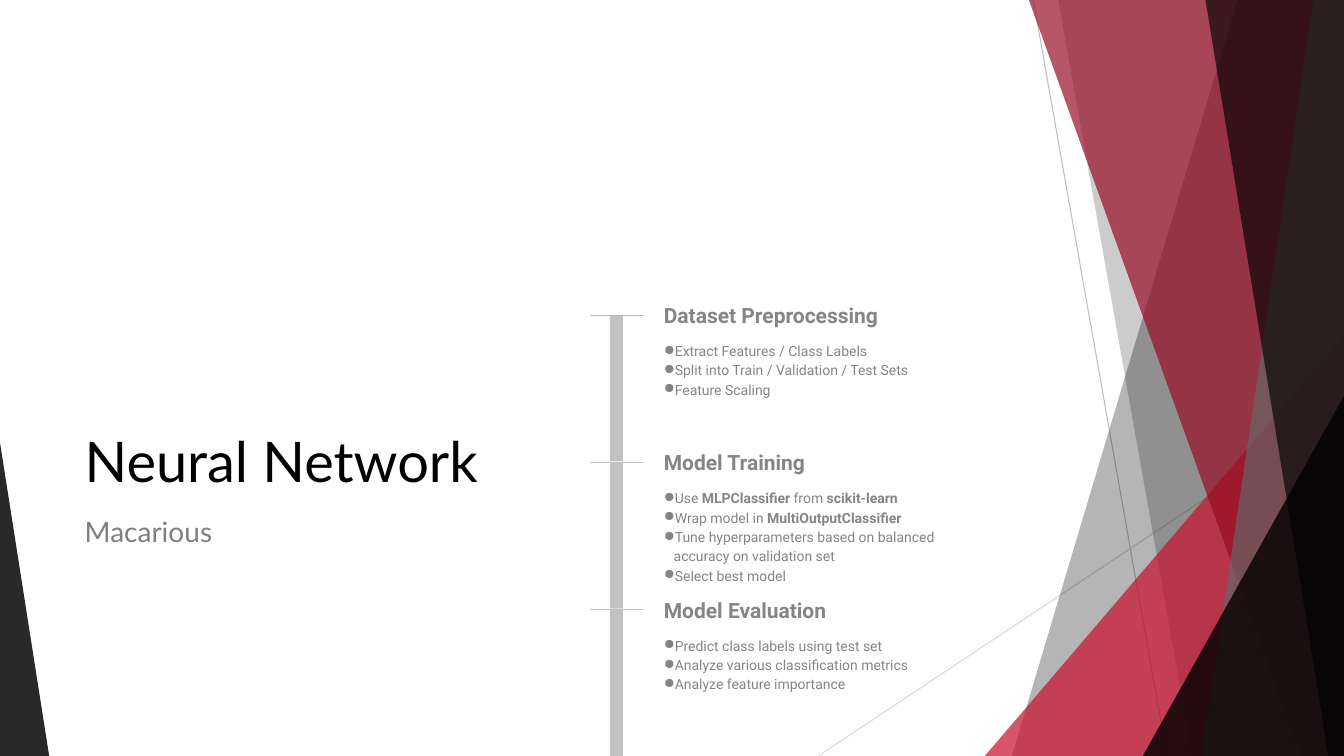
import pptx
import pptx.util
import pptx.dml.color
import pptx.enum.shapes
import pptx.enum.text
import pptx.oxml
import pptx.oxml.ns

Cm = pptx.util.Cm
Pt = pptx.util.Pt
RGBColor = pptx.dml.color.RGBColor
MSO_SHAPE = pptx.enum.shapes.MSO_SHAPE
qn = pptx.oxml.ns.qn

BLACK = RGBColor(0x00, 0x00, 0x00)
RED = RGBColor(0xC8, 0x10, 0x2E)
DARK_RED = RGBColor(0x96, 0x0B, 0x22)
DARK_GREY = RGBColor(0x66, 0x66, 0x66)
SUBTITLE_GREY = RGBColor(0x7F, 0x7F, 0x7F)
TEXT_GREY = RGBColor(0x85, 0x85, 0x85)
TICK_GREY = RGBColor(0xBA, 0xBA, 0xBA)
BAR_GREY = RGBColor(0xC2, 0xC2, 0xC2)
LINE_GREY = RGBColor(0xBF, 0xBF, 0xBF)
PALE_GREY = RGBColor(0xD8, 0xD8, 0xD8)

WIDTH, HEIGHT = 33.87, 19.05

prs = pptx.Presentation()
prs.slide_width, prs.slide_height = Cm(WIDTH), Cm(HEIGHT)
slide = prs.slides.add_slide(prs.slide_layouts[2])
shapes = slide.shapes


def add_line(x1, y1, x2, y2, color):
    line = shapes.add_connector(pptx.enum.shapes.MSO_CONNECTOR.STRAIGHT,
                                Cm(x1), Cm(y1), Cm(x2), Cm(y2))
    line.line.color.rgb = color
    line.line.width = Pt(0.75)
    pptx.oxml.ns  # namespace helpers come from here
    line._element.spPr.append(pptx.oxml.parse_xml(
        f'<a:effectLst {pptx.oxml.ns.nsdecls("a")}/>'))


def add_text(left, top, width, height, paragraphs, size):
    """Add a text box; each paragraph is a list of (text, bold) runs."""
    box = shapes.add_textbox(Cm(left), Cm(top), Cm(width), Cm(height))
    tf = box.text_frame
    tf.word_wrap = True
    tf.margin_left = tf.margin_right = tf.margin_top = tf.margin_bottom = Cm(0.32)
    for i, runs in enumerate(paragraphs):
        p = tf.paragraphs[0] if i == 0 else tf.add_paragraph()
        p.line_spacing = 1.15
        for text, bold in runs:
            r = p.add_run()
            r.text = text
            r.font.name = "Roboto"
            r.font.size = Pt(size)
            r.font.bold = bold
            r.font.color.rgb = TEXT_GREY
    return tf


# Background lines and translucent bands
add_line(26.04, 0, 29.41, HEIGHT, LINE_GREY)
add_line(WIDTH, 10.24, 20.62, HEIGHT, PALE_GREY)

# band: top x, bottom x; wedge: left, width, height, apex position
decor = [
    ("band", (31.19, 25.5), BLACK, 29),
    ("band", (26.67, 30.05), BLACK, 20),
    ("wedge", (24.82, 9.05, 10.59, 1), RED, 71),
    ("band", (25.93, 32.79), DARK_RED, 69),
    ("band", (33.1, 30.28), DARK_GREY, 69),
    ("band", (30.38, 33.48), BLACK, 64),
    ("wedge", (28.8, 5.07, 9.07, 1), BLACK, 80),
    ("wedge", (0, 1.24, 7.9, 0), BLACK, 84),
]
for kind, geometry, color, opacity in decor:
    if kind == "band":
        top_x, bottom_x = geometry
        outline = shapes.build_freeform(Cm(top_x), 0)
        outline.add_line_segments([(Cm(WIDTH), 0), (Cm(WIDTH), Cm(HEIGHT)),
                                   (Cm(bottom_x), Cm(HEIGHT))])
        sp = outline.convert_to_shape()
    else:
        left, width, height, apex = geometry
        sp = shapes.add_shape(MSO_SHAPE.ISOSCELES_TRIANGLE, Cm(left),
                              Cm(HEIGHT - height), Cm(width), Cm(height))
        sp.adjustments[0] = apex
    sp.shadow.inherit = False
    sp.line.fill.background()
    sp.fill.solid()
    sp.fill.fore_color.rgb = color
    clr = sp._element.spPr.find(qn("a:solidFill"))[0]
    clr.append(pptx.oxml.parse_xml(
        f'<a:alpha {pptx.oxml.ns.nsdecls("a")} val="{opacity * 1000}"/>'))

# Title and subtitle, in front of the bands
title, subtitle = slide.placeholders
for sp, text, top, height, size, color, anchor in [
    (title, "Neural Network", 7.49, 5.08, 40, BLACK, "BOTTOM"),
    (subtitle, "Macarious", 12.57, 2.39, 20, SUBTITLE_GREY, "TOP"),
]:
    shapes._spTree.append(sp._element)
    sp.left, sp.top, sp.width, sp.height = Cm(1.88), Cm(top), Cm(23.88), Cm(height)
    tf = sp.text_frame
    tf.text = text
    tf.vertical_anchor = pptx.enum.text.MSO_ANCHOR[anchor]
    p = tf.paragraphs[0]
    p.alignment = pptx.enum.text.PP_ALIGN.LEFT
    p.space_before = Pt(0)
    r = p.runs[0]
    r.font.name = "Lato"
    r.font.size = Pt(size)
    r.font.bold = False
    r.font.color.rgb = color
    r._r.get_or_add_rPr().set("cap", "none")
subtitle.text_frame.paragraphs[0].space_before = Pt(0)
subtitle.text_frame.margin_top = Cm(0.4)

# Timeline: heading, heading width, list width, tick colour, list items
stages = [
    ("Dataset Preprocessing", 6.78, 7.85, TICK_GREY, [
        [("Extract Features / Class Labels", False)],
        [("Split into Train / Validation / Test Sets", False)],
        [("Feature Scaling", False)],
    ]),
    ("Model Training", 8.1, 8.1, BAR_GREY, [
        [("Use ", False), ("MLPClassifier", True), (" from ", False),
         ("scikit-learn", True)],
        [("Wrap model in ", False), ("MultiOutputClassifier", True)],
        [("Tune hyperparameters based on balanced accuracy on validation set", False)],
        [("Select best model", False)],
    ]),
    ("Model Evaluation", 6.8, 7.19, BAR_GREY, [
        [("Predict class labels using test set", False)],
        [("Analyze various classification metrics", False)],
        [("Analyze feature importance", False)],
    ]),
]
for i, (heading, heading_width, list_width, tick_color, items) in enumerate(stages):
    top = 7.95 + 3.71 * i
    bar = shapes.add_shape(MSO_SHAPE.RECTANGLE, Cm(15.37), Cm(top), Cm(0.33), Cm(3.68))
    bar.shadow.inherit = False
    bar.fill.solid()
    bar.fill.fore_color.rgb = BAR_GREY
    bar.line.fill.background()
    add_line(16.21, top, 14.88, top, tick_color)
    add_text(16.41, top - 0.74, heading_width, 1.02, [[(heading, True)]], 15)
    tf = add_text(16.41, top + 0.3, list_width, 2.67, items, 10)
    for p in tf.paragraphs:
        pPr = p._p.get_or_add_pPr()
        pPr.set("marL", str(Cm(0.25)))
        pPr.set("indent", str(-Cm(0.25)))
        for bullet in (f'<a:buClr {{}}><a:srgbClr val="{TEXT_GREY}"/></a:buClr>',
                       '<a:buChar {} char="●"/>'):
            pPr.append(pptx.oxml.parse_xml(
                bullet.format(pptx.oxml.ns.nsdecls("a"))))

prs.save("out.pptx")
